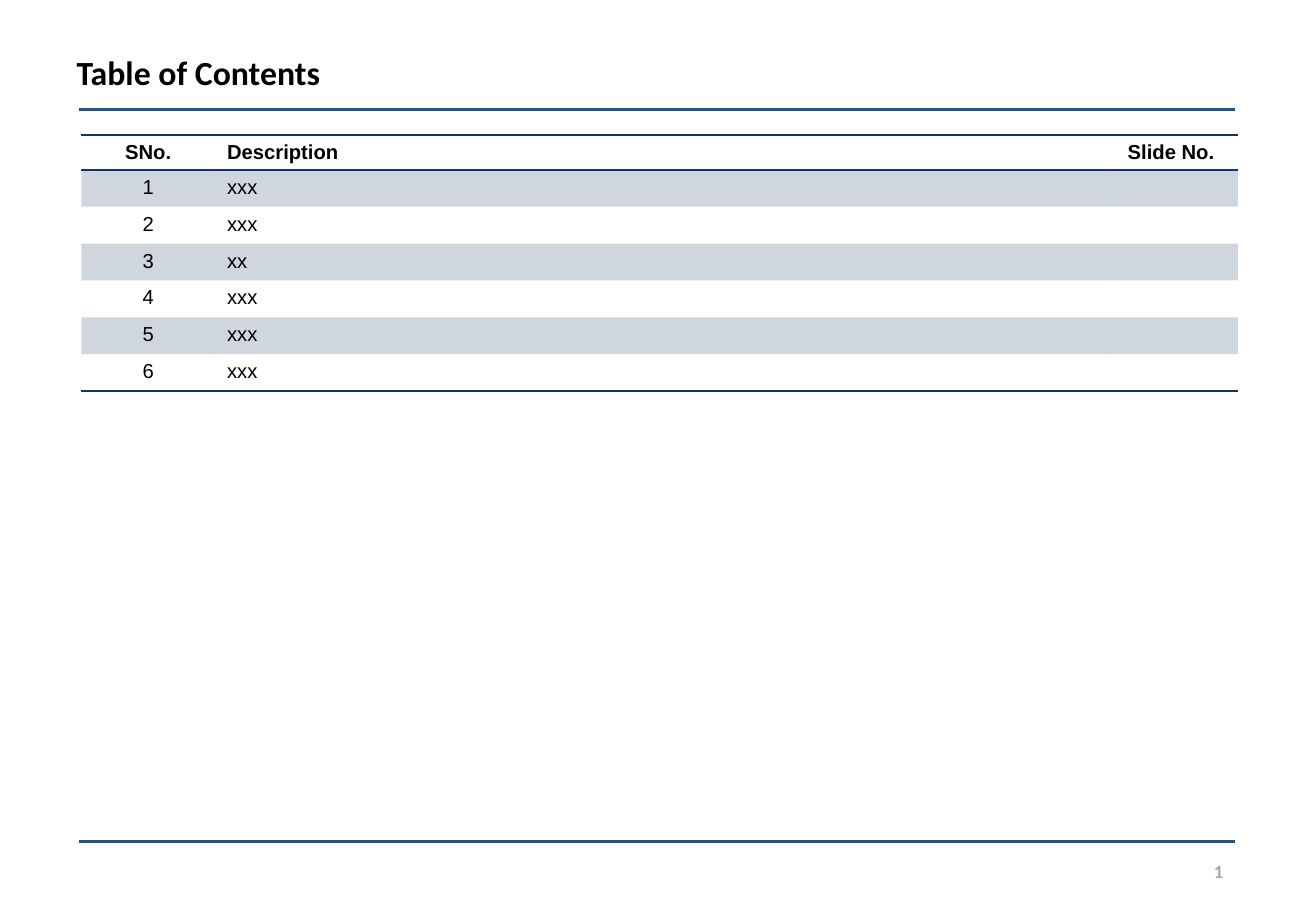
from lxml.etree import SubElement
from pptx import Presentation
from pptx.dml.color import RGBColor
from pptx.enum.shapes import MSO_CONNECTOR
from pptx.enum.text import MSO_ANCHOR, MSO_AUTO_SIZE, PP_ALIGN
from pptx.oxml import parse_xml
from pptx.oxml.ns import nsdecls, qn
from pptx.util import Pt

NAVY = "12365E"
RULE_BLUE = "26547B"
GREY = "A6A6A6"
BLACK = "000000"
NO_STYLE = "{2D5ABB26-0587-4C30-8999-92F81FD0307C}"

COLUMN_WIDTHS = [79.2, 527.04, 79.2]
HEADER_HEIGHT, ROW_HEIGHT = 20.8, 21.84
HEADINGS = ["SNo.", "Description", "Slide No."]
DESCRIPTIONS = ["xxx", "xxx", "xx", "xxx", "xxx", "xxx"]


def color(value):
    return RGBColor.from_string(value)


def format_text(frame, font, size, value, bold, align):
    para = frame.paragraphs[0]
    para.alignment = align
    for span in para.runs:
        span.font.name = font
        span.font.size = Pt(size)
        span.font.bold = bold
        span.font.color.rgb = color(value)


def place_text(shape, text, left, top, width, height, size, value, align, anchor):
    shape.left, shape.top = Pt(left), Pt(top)
    shape.width, shape.height = Pt(width), Pt(height)
    frame = shape.text_frame
    frame.text = text
    frame.word_wrap = True
    frame.auto_size = MSO_AUTO_SIZE.NONE
    frame.vertical_anchor = anchor
    format_text(frame, "Calibri", size, value, True, align)


def add_rule(page, top):
    rule = page.shapes.add_connector(
        MSO_CONNECTOR.STRAIGHT, Pt(46.8), Pt(top), Pt(732.24), Pt(top))
    rule.line.color.rgb = color(RULE_BLUE)
    rule.line.width = Pt(1.5)
    SubElement(rule._element.spPr, qn("a:effectLst"))


def add_borders(cell, sides):
    properties = cell._tc.get_or_add_tcPr()
    for position, side in enumerate(sides):
        properties.insert(position, parse_xml(
            f'<a:ln{side} {nsdecls("a")} w="{Pt(1)}"><a:solidFill>'
            f'<a:srgbClr val="{NAVY}"/></a:solidFill></a:ln{side}>'))


def fill_band(cell):
    cell.fill.solid()
    cell.fill.fore_color.rgb = color(NAVY)
    tint = cell._tc.tcPr.find(".//" + qn("a:srgbClr"))
    SubElement(tint, qn("a:alpha"), val="20000")


def format_cell(cell, text, bold, align):
    cell.text = text
    format_text(cell.text_frame, "Arial", 12, BLACK, bold, align)
    if not text:
        # An empty cell keeps the row's text size
        SubElement(cell.text_frame.paragraphs[0]._p, qn("a:endParaRPr"), sz="1200")


def add_contents_table(page):
    rows = [HEADINGS] + [[str(number), text, ""]
                         for number, text in enumerate(DESCRIPTIONS, 1)]
    heights = [HEADER_HEIGHT] + [ROW_HEIGHT] * len(DESCRIPTIONS)
    frame = page.shapes.add_table(
        len(rows), len(HEADINGS), Pt(48.24), Pt(79.92),
        Pt(sum(COLUMN_WIDTHS)), Pt(sum(heights)))
    table = frame.table
    table.horz_banding = False
    table._tbl.tblPr.find(qn("a:tableStyleId")).text = NO_STYLE
    for column, width in zip(table.columns, COLUMN_WIDTHS):
        column.width = Pt(width)
    for row, height in zip(table.rows, heights):
        row.height = Pt(height)

    for row_index, row in enumerate(rows):
        for column_index, text in enumerate(row):
            cell = table.cell(row_index, column_index)
            align = PP_ALIGN.LEFT if column_index == 1 else PP_ALIGN.CENTER
            format_cell(cell, text, row_index == 0, align)
            if row_index % 2:
                fill_band(cell)
            else:
                cell.fill.background()
            if row_index == 0:
                add_borders(cell, "TB")
            elif row_index == len(rows) - 1:
                add_borders(cell, "B")


def main():
    deck = Presentation()
    deck.slide_width, deck.slide_height = Pt(780), Pt(540)
    page = deck.slides.add_slide(deck.slide_layouts[5])

    # Rules and slide number
    for top in (64.8, 498.96):
        add_rule(page, top)
    box = page.shapes.add_textbox(0, 0, 0, 0)
    place_text(box, "1", 599.76, 498.96, 132.48, 35.28, 11, GREY,
               PP_ALIGN.RIGHT, MSO_ANCHOR.MIDDLE)

    # Title
    place_text(page.shapes.title, "Table of Contents", 38.16, 27.36, 604.08, 32.4,
               20, BLACK, PP_ALIGN.LEFT, MSO_ANCHOR.TOP)

    # Contents
    add_contents_table(page)
    deck.save("out.pptx")


if __name__ == "__main__":
    main()
